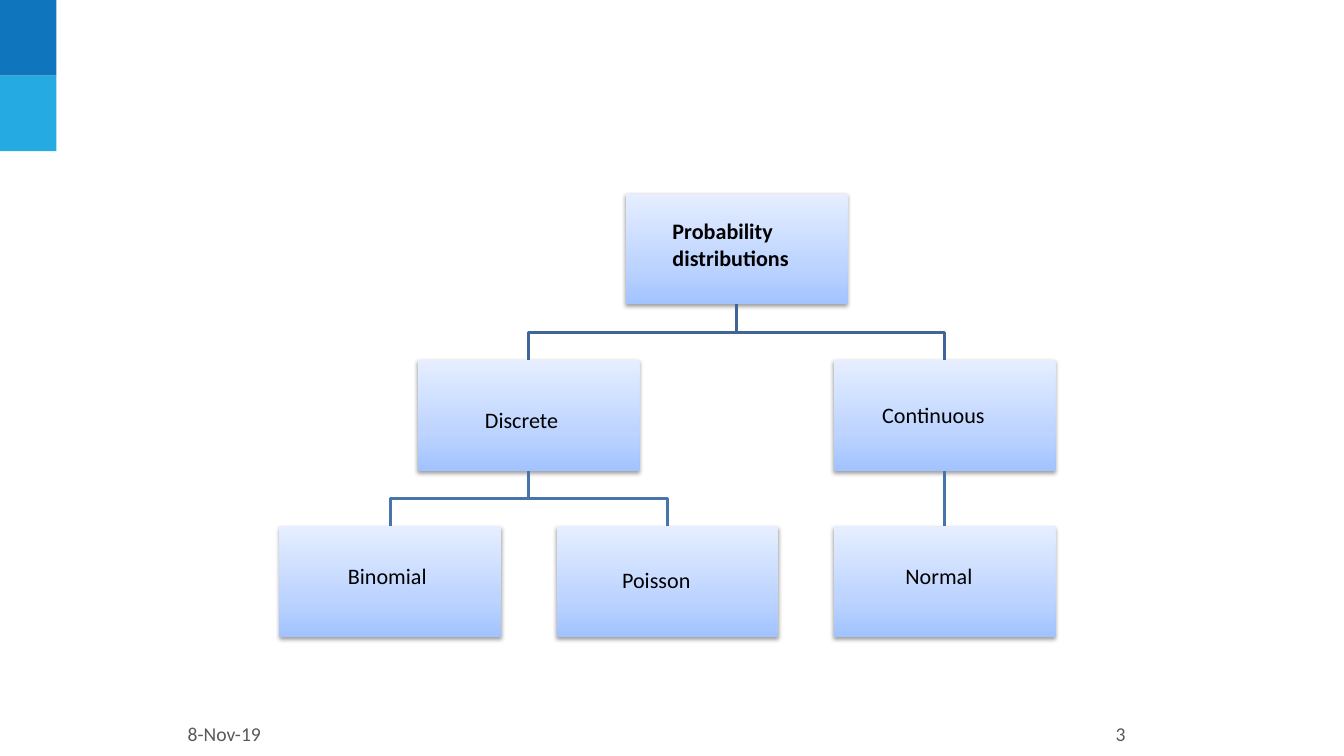
"""Build a slide with a tree of probability distributions."""
from lxml import etree
from pptx import Presentation, util as u
from pptx.dml import color
from pptx.enum import shapes, text
from pptx.oxml import ns

LEFT, TOP = 2.77, 1.92
STEP, DROP = 2.75, 1.65
WIDE, HIGH = 2.2, 1.1
NODES = {
    "Probability distributions": (1.25, 0, 6.62, 2.11, 0.63),
    "Discrete": (0.5, 1, 4.76, 3.98, 0.36),
    "Binomial": (0, 2, 3.4, 5.53, 0.36),
    "Poisson": (1, 2, 6.12, 5.57, 0.36),
    "Continuous": (2, 1, 8.7, 3.93, 0.36),
    "Normal": (2, 2, 8.93, 5.53, 0.36),
}
BENDS = [
    ("Probability distributions", "Discrete", "3F6696"),
    ("Probability distributions", "Continuous", "3F6696"),
    ("Discrete", "Binomial", "4775AB"),
    ("Discrete", "Poisson", "4775AB"),
]
SHADE = [(0, "A2C3FF"), (35, "BDD4FF"), (100, "E6EEFF")]


def rgb(code):
    return color.RGBColor.from_string(code)


def put(item, form):
    for key, value in form.items():
        setattr(item, key, value)


def add(parent, tag, **attrs):
    return etree.SubElement(parent, ns.qn(tag), attrs)


class Painter:
    inset = u.Inches(0.05)
    label = {"name": "Calibri", "size": u.Pt(15.8), "bold": False}
    small = {"name": "Calibri", "size": u.Pt(14)}

    def __init__(self, slide):
        self.items = slide.shapes

    def block(self, x, y, wide, high, fill=None):
        box = self.items.add_shape(shapes.MSO_SHAPE.RECTANGLE,
                                   *map(u.Inches, (x, y, wide, high)))
        box.shadow.inherit = False
        box.line.fill.background()
        if fill:
            box.fill.solid()
            box.fill.fore_color.rgb = rgb(fill)
        return box

    def node(self, col, row):
        box = self.block(LEFT + col * STEP, TOP + row * DROP, WIDE, HIGH)
        box.fill.gradient()
        box.fill.gradient_angle = 90
        stops = box._element.xpath(".//a:gsLst")[0]
        for stop in list(stops):
            stops.remove(stop)
        for place, code in SHADE:
            stop = add(stops, "a:gs", pos=str(place * 1000))
            add(stop, "a:srgbClr", val=code)
        effect = box._element.xpath(".//a:effectLst")[0]
        shadow = add(effect, "a:outerShdw", blurRad="38100", dist="20320",
                     dir="5400000", rotWithShape="0")
        tint = add(shadow, "a:srgbClr", val="000000")
        add(tint, "a:alpha", val="38000")
        return box

    def words(self, copy, place, font, ink, frame, align):
        box = self.items.add_textbox(*map(u.Inches, place))
        put(box.text_frame, {"word_wrap": True, **frame})
        line = box.text_frame.paragraphs[0]
        line.text, line.alignment = copy, align
        put(line.runs[0].font, font)
        line.runs[0].font.color.rgb = rgb(ink)

    def name(self, copy, x, y, high, bold):
        sides = ("left", "right", "top", "bottom")
        frame = {f"margin_{side}": self.inset for side in sides}
        self.words(copy, (x, y, WIDE, high), {**self.label, "bold": bold},
                   "000000", frame, text.PP_ALIGN.LEFT)

    def foot(self, copy, x):
        self.words(copy, (x, 7.08, 3.11, 0.4), self.small, "595959",
                   {"vertical_anchor": text.MSO_ANCHOR.MIDDLE},
                   text.PP_ALIGN.CENTER)

    def stroke(self, line, ink):
        line.width = u.Pt(2)
        line.color.rgb = rgb(ink)

    def bend(self, top, low, ink):
        start, end = (box.left + box.width // 2 for box in (top, low))
        base = top.top + top.height
        mid = (base + low.top) // 2
        route = self.items.build_freeform(start, base)
        route.add_line_segments([(start, mid), (end, mid), (end, low.top)],
                                close=False)
        bend = route.convert_to_shape()
        bend.shadow.inherit = False
        bend.fill.background()
        self.stroke(bend.line, ink)

    def link(self, top, low, ink):
        link = self.items.add_connector(shapes.MSO_CONNECTOR.STRAIGHT,
                                        0, 0, 0, 0)
        link.begin_connect(top, 2)
        link.end_connect(low, 0)
        add(link._element.spPr, "a:effectLst")
        self.stroke(link.line, ink)


def main():
    deck = Presentation()
    put(deck, {"slide_width": u.Inches(13.33), "slide_height": u.Inches(7.5)})
    paint = Painter(deck.slides.add_slide(deck.slide_layouts[6]))
    for row, fill in enumerate(("0F75BD", "25AAE2")):
        paint.block(0, row * 0.75, 0.56, 0.75, fill)
    paint.foot("8-Nov-19", 0.67)
    paint.foot("3", 9.56)
    boxes = {}
    for copy, (col, row, x, y, high) in NODES.items():
        boxes[copy] = paint.node(col, row)
        paint.name(copy, x, y, high, row == 0)
    for top, low, ink in BENDS:
        paint.bend(boxes[top], boxes[low], ink)
    paint.link(boxes["Continuous"], boxes["Normal"], "4775AB")
    deck.save("out.pptx")


if __name__ == "__main__":
    main()
